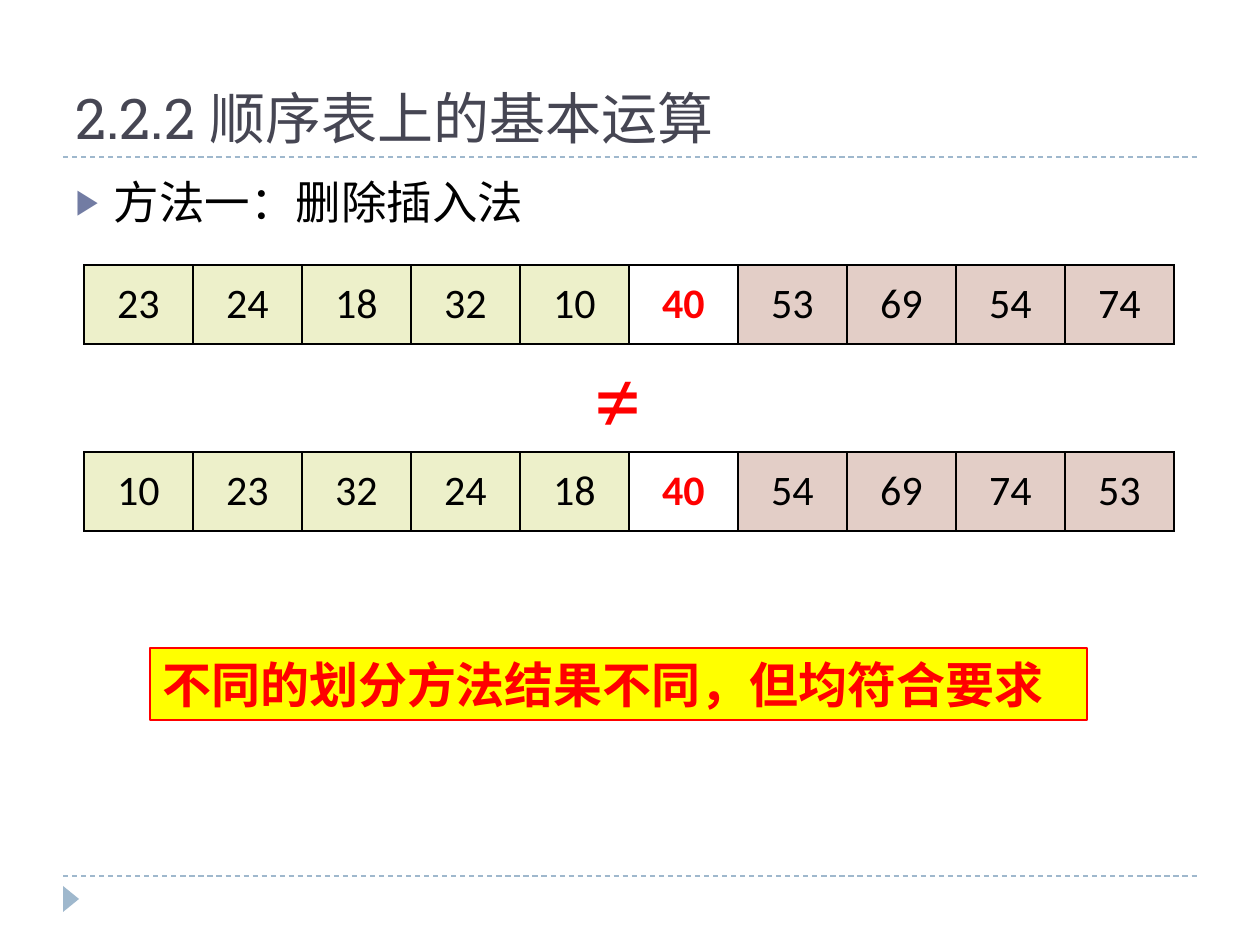
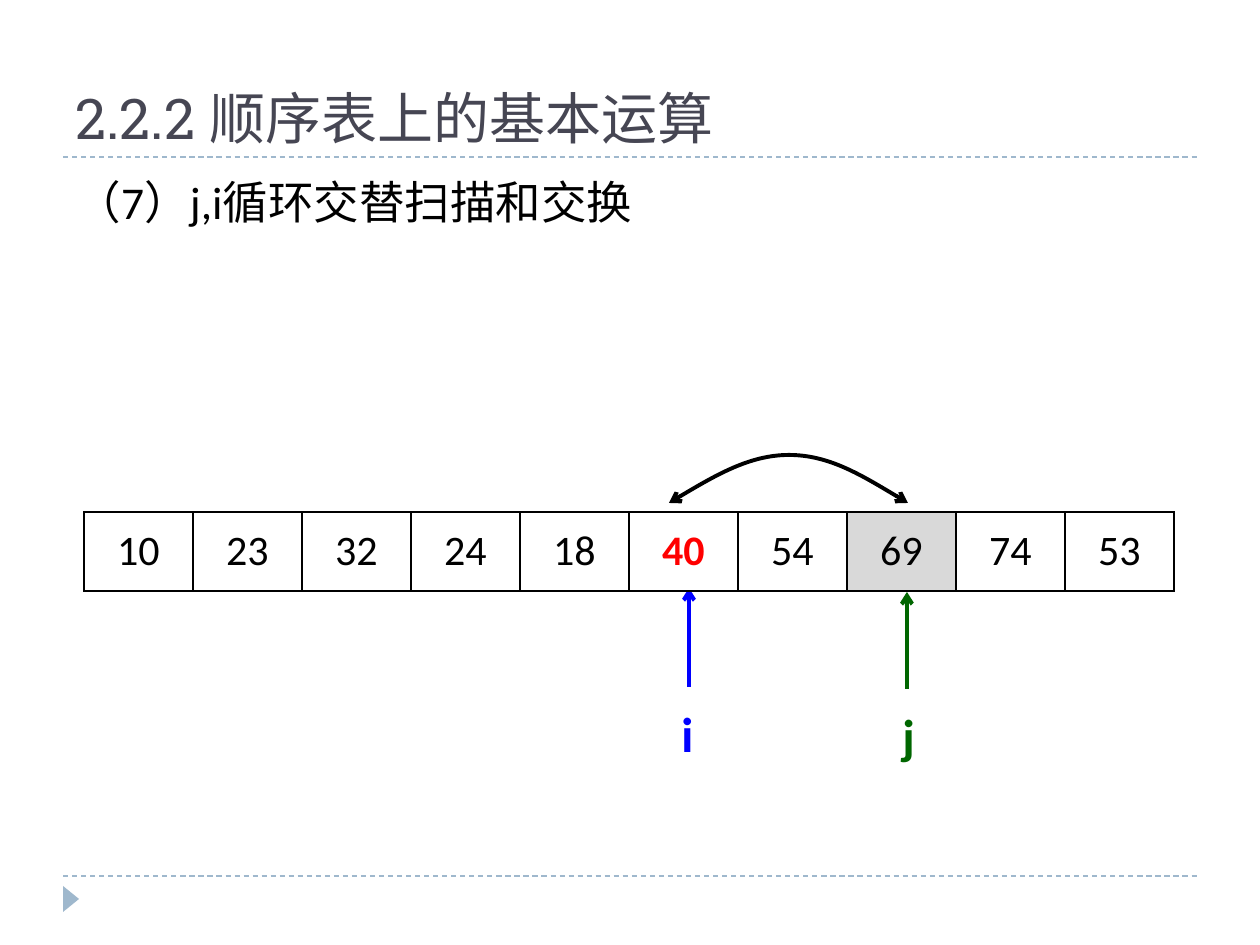
from dataclasses import dataclass
from typing import NamedTuple, Optional

from lxml.etree import SubElement
from pptx import Presentation
from pptx.dml.color import RGBColor
from pptx.enum.dml import MSO_LINE
from pptx.enum.shapes import MSO_CONNECTOR, MSO_SHAPE
from pptx.enum.text import MSO_ANCHOR as Anchor, MSO_AUTO_SIZE as AutoSize, PP_ALIGN as Align
from pptx.oxml.ns import qn
from pptx.util import Emu, Pt

EMU_PER_PX = 914400 / 126


@dataclass(frozen=True)
class Theme:
    title_font: str = "Roboto Slab"
    body_font: str = "Calibri"
    title_size: int = 32
    body_size: int = 26
    cell_size: int = 24
    label_size: int = 28
    sign_size: int = 54
    title: str = "464653"
    accent: str = "9FB8CD"
    bullet: str = "727CA3"
    black: str = "000000"
    white: str = "FFFFFF"
    red: str = "FF0000"
    yellow: str = "FFFF00"
    blue: str = "0000FF"
    green: str = "006600"
    smaller: str = "EDF0CA"
    larger: str = "E3CEC7"
    marked: str = "D9D9D9"


THEME = Theme()


class Box(NamedTuple):
    left: int
    top: int
    width: int
    height: int


class Style(NamedTuple):
    size: int
    color: str
    bold: bool = False
    font: str = THEME.body_font


class Line(NamedTuple):
    x1: int
    y1: int
    x2: int
    y2: int
    color: str
    width: float
    dashed: bool = False
    arrow: bool = False


class Pointer(NamedTuple):
    name: str
    color: str
    arrow: tuple[int, int, int]  # x, bottom, top
    box: Box


class NumberRow(NamedTuple):
    top: int
    values: list[int]
    fills: list[str]


# Shared layout
TITLE_BOX = Box(63, 21, 1134, 136)
BODY_BOX = Box(63, 168, 1134, 680)
RULES = [Line(63, y, 1197, y, THEME.accent, 0.75, dashed=True) for y in (876, 157)]
PAGE_MARK = Box(58, 891, 26, 16)
ROW_LEFT, CELL_WIDTH, CELL_HEIGHT = 84, 109, 79
PIVOT = 40
TITLE = "2.2.2 顺序表上的基本运算"

# Rows of numbers
SPLIT_FILLS = [THEME.smaller] * 5 + [THEME.white] + [THEME.larger] * 4
SWAP_FILLS = [THEME.white] * 7 + [THEME.marked] + [THEME.white] * 2
EXCHANGED = [10, 23, 32, 24, 18, 40, 54, 69, 74, 53]
SPLIT_ROWS = [
    NumberRow(265, [23, 24, 18, 32, 10, 40, 53, 69, 54, 74], SPLIT_FILLS),
    NumberRow(452, EXCHANGED, SPLIT_FILLS),
]
SWAP_ROW = NumberRow(512, EXCHANGED, SWAP_FILLS)

POINTERS = [
    Pointer("i", THEME.blue, (689, 687, 588), Box(669, 697, 38, 72)),
    Pointer("j", THEME.green, (907, 689, 592), Box(890, 699, 38, 72)),
]
# Start point, then two control points and an end point for each half
SWAP_CURVE = [(669, 503), (709, 479), (750, 455), (789, 455),
              (829, 455), (868, 479), (908, 503)]


def px(length: int) -> Emu:
    return Emu(round(length * EMU_PER_PX))


def place(box: Box) -> list[Emu]:
    return [px(length) for length in box]


def rgb(color: str) -> RGBColor:
    return RGBColor.from_string(color)


def paint(shape, color: str) -> None:
    shape.fill.solid()
    shape.fill.fore_color.rgb = rgb(color)


def write(para, text: str, style: Style, align=Align.LEFT) -> None:
    para.alignment = align
    span = para.add_run()
    span.text = text
    span.font.name = style.font
    span.font.size = Pt(style.size)
    span.font.bold = style.bold
    span.font.color.rgb = rgb(style.color)


def stroke(shape, color: str, width: float) -> None:
    shape.line.color.rgb = rgb(color)
    shape.line.width = Pt(width)


def add_heads(shape, *ends: str) -> None:
    outline = shape.element.spPr.find(qn("a:ln"))
    for end in ends:
        SubElement(outline, qn(f"a:{end}"), type="arrow")


def add_line(page, line: Line) -> None:
    connector = page.shapes.add_connector(
        MSO_CONNECTOR.STRAIGHT, px(line.x1), px(line.y1), px(line.x2), px(line.y2))
    stroke(connector, line.color, line.width)
    if line.dashed:
        connector.line.dash_style = MSO_LINE.DASH
    if line.arrow:
        add_heads(connector, "tailEnd")
    SubElement(connector.element.spPr, qn("a:effectLst"))


def add_label(page, box: Box, text: str, style: Style) -> None:
    label = page.shapes.add_textbox(*place(box))
    label.text_frame.word_wrap = False
    write(label.text_frame.paragraphs[0], text, style)


def add_banner(page, box: Box, text: str, style: Style) -> None:
    banner = page.shapes.add_shape(MSO_SHAPE.RECTANGLE, *place(box))
    banner.shadow.inherit = False
    paint(banner, THEME.yellow)
    stroke(banner, THEME.red, 0.75)
    banner.text_frame.word_wrap = True
    banner.text_frame.vertical_anchor = Anchor.TOP
    write(banner.text_frame.paragraphs[0], text, style)


def add_borders(cell) -> None:
    properties = cell._tc.get_or_add_tcPr()
    for side in ("lnL", "lnR", "lnT", "lnB"):
        border = SubElement(properties, qn(f"a:{side}"), w=str(Pt(1)))
        fill = SubElement(border, qn("a:solidFill"))
        SubElement(fill, qn("a:srgbClr"), val=THEME.black)


def add_number_row(page, row: NumberRow) -> None:
    count = len(row.values)
    box = Box(ROW_LEFT, row.top, CELL_WIDTH * count, CELL_HEIGHT)
    table = page.shapes.add_table(1, count, *place(box)).table
    table.first_row = table.horz_banding = False
    for column, (value, fill) in enumerate(zip(row.values, row.fills)):
        cell = table.cell(0, column)
        add_borders(cell)
        paint(cell, fill)
        cell.vertical_anchor = Anchor.MIDDLE
        pivot = value == PIVOT
        style = Style(THEME.cell_size, THEME.red if pivot else THEME.black, pivot)
        write(cell.text_frame.paragraphs[0], str(value), style, Align.CENTER)


def add_curve(page, points: list[tuple[int, int]]) -> None:
    """Draw joined cubic curves with an arrowhead at both ends."""
    builder = page.shapes.build_freeform(*points[0], scale=EMU_PER_PX)
    builder.add_line_segments(points[1:], close=False)
    curve = builder.convert_to_shape()
    curve.shadow.inherit = False
    curve.fill.background()
    stroke(curve, THEME.black, 2.25)
    add_heads(curve, "headEnd", "tailEnd")
    # Turn each three straight segments into one cubic segment
    segments = list(curve.element.spPr.iter(qn("a:lnTo")))
    outline = segments[0].getparent()
    for first in range(0, len(segments), 3):
        cubic = SubElement(outline, qn("a:cubicBezTo"))
        for segment in segments[first:first + 3]:
            cubic.append(segment[0])
            outline.remove(segment)


def fill_placeholder(holder, box: Box, text: str, style: Style, anchor,
                     bullet: Optional[str] = None) -> None:
    holder.left, holder.top, holder.width, holder.height = place(box)
    frame = holder.text_frame
    frame.auto_size = AutoSize.NONE
    frame.vertical_anchor = anchor
    para = frame.paragraphs[0]
    properties = para._p.get_or_add_pPr()
    indent = px(38) if bullet else 0
    properties.set("marL", str(indent))
    properties.set("indent", str(-indent))
    if bullet:
        color = SubElement(properties, qn("a:buClr"))
        SubElement(color, qn("a:srgbClr"), val=THEME.bullet)
        SubElement(properties, qn("a:buSzPct"), val="76000")
        SubElement(properties, qn("a:buChar"), char=bullet)
    else:
        SubElement(properties, qn("a:buNone"))
    para.space_before = Pt(0)
    write(para, text, style)


def add_page(deck, body: str, bullet: Optional[str] = None):
    page = deck.slides.add_slide(deck.slide_layouts[1])
    for rule in RULES:
        add_line(page, rule)
    mark = page.shapes.add_shape(MSO_SHAPE.ISOSCELES_TRIANGLE, *place(PAGE_MARK))
    mark.rotation = 90
    mark.shadow.inherit = False
    paint(mark, THEME.accent)
    mark.line.fill.background()
    title_style = Style(THEME.title_size, THEME.title, font=THEME.title_font)
    fill_placeholder(page.shapes.title, TITLE_BOX, TITLE, title_style, Anchor.BOTTOM)
    fill_placeholder(page.placeholders[1], BODY_BOX, body,
                     Style(THEME.body_size, THEME.black), Anchor.TOP, bullet)
    return page


def build_comparison(deck) -> None:
    page = add_page(deck, "方法一：删除插入法", bullet="▶")
    for row in SPLIT_ROWS:
        add_number_row(page, row)
    add_label(page, Box(582, 333, 73, 127), "≠", Style(THEME.sign_size, THEME.red))
    add_banner(page, Box(150, 648, 937, 72), "不同的划分方法结果不同，但均符合要求",
               Style(THEME.label_size, THEME.red, True))


def build_exchange(deck) -> None:
    page = add_page(deck, "（7）j,i循环交替扫描和交换")
    for pointer in POINTERS:
        x, bottom, top = pointer.arrow
        add_line(page, Line(x, bottom, x, top, pointer.color, 2.25, arrow=True))
        add_label(page, pointer.box, pointer.name,
                  Style(THEME.label_size, pointer.color, True))
    add_number_row(page, SWAP_ROW)
    add_curve(page, SWAP_CURVE)


def main() -> None:
    deck = Presentation()
    deck.slide_width, deck.slide_height = px(1260), px(945)
    build_comparison(deck)
    build_exchange(deck)
    deck.save("out.pptx")


if __name__ == "__main__":
    main()
